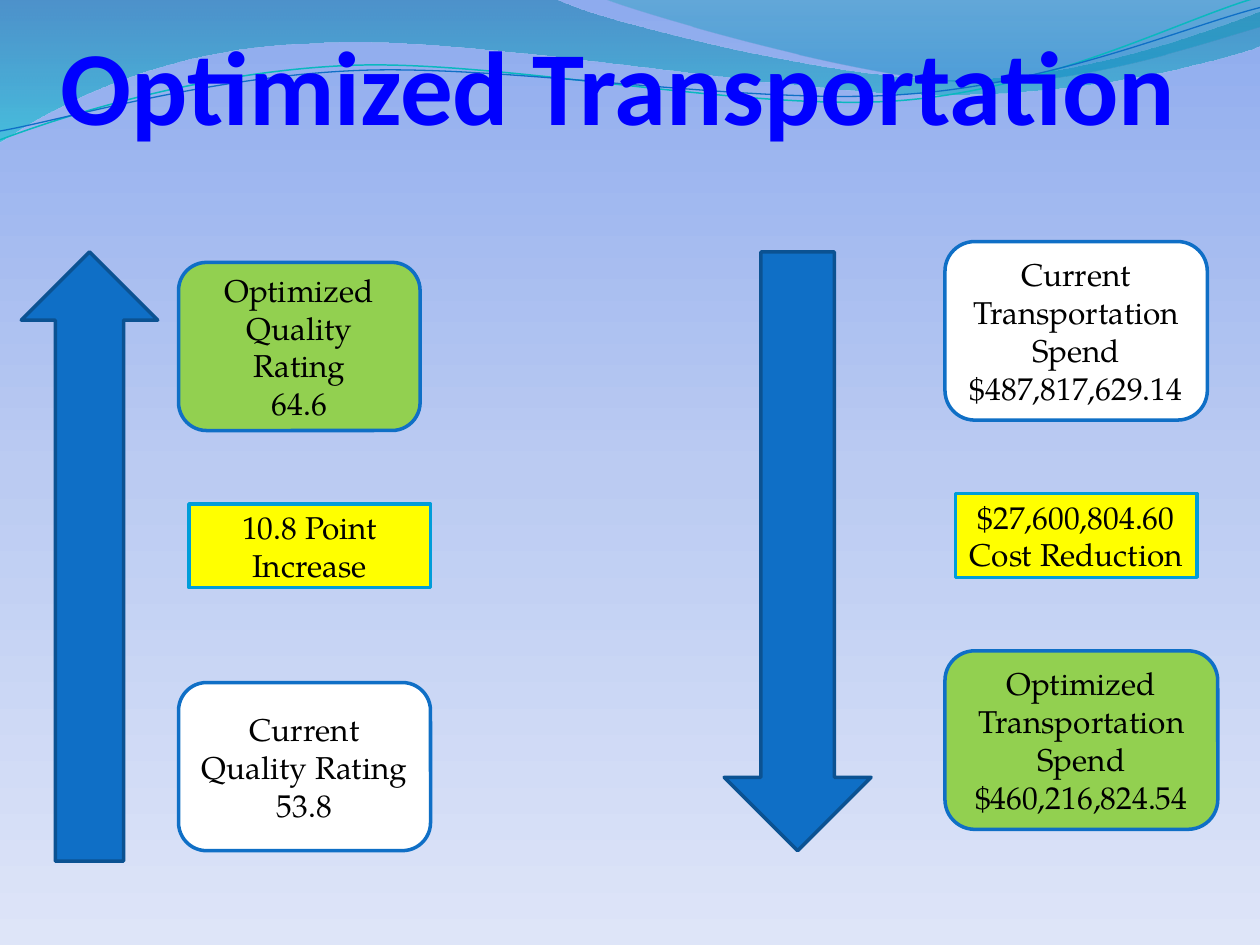
from lxml.etree import SubElement as Sub
from pptx import Presentation
from pptx.dml.color import RGBColor as Rgb
from pptx.enum.shapes import MSO_SHAPE as Kind
from pptx.enum.text import MSO_ANCHOR as Anchor, PP_ALIGN as Align
from pptx.oxml.ns import qn
from pptx.util import Cm, Pt

FONT = "TeX Gyre Pagella"
BLUE, GREEN, WHITE, YELLOW = "0F6FC6", "92D050", "FFFFFF", "FFFF00"

SWEEP = [
    [(0, 0)], [(4.4, -0.01)],
    [(4.76, 0.17), (6.64, 0.63), (7.58, 0.63)],
    [(8.53, 0.63), (9.58, 0.26), (10, 0.09)], [(10.01, 0.36)],
    [(9.83, 0.44), (8.7, 0.76), (7.46, 0.75)],
    [(6.22, 0.75), (3.82, 0.28), (2.57, 0.34)],
    [(1.29, 0.36), (0.46, 0.83), (-0.01, 1.13)], [(0, 0)],
]
CREST = [
    [(4.79, -0.01)],
    [(5.09, 0.11), (6.82, 0.62), (7.69, 0.65)],
    [(8.56, 0.69), (9.61, 0.32), (10, 0.21)], [(10, 0)], [(4.79, -0.01)],
]
TEAL = [
    [(0, 1.11)],
    [(0.48, 0.93), (1.58, 0.57), (2.77, 0.52)],
    [(3.95, 0.47), (5.93, 0.89), (7.13, 0.8)],
    [(8.33, 0.71), (9.38, 0.15), (9.98, -0.02)],
]
NAVY = [
    [(0, 1.04)],
    [(0.47, 0.96), (1.64, 0.61), (2.83, 0.56)],
    [(4.03, 0.51), (5.97, 0.84), (7.17, 0.75)],
    [(8.36, 0.67), (9.41, 0.21), (10, 0.06)],
]


def paint(color, code):
    """Set a colour from a hex string."""
    color.rgb = Rgb.from_string(code)


def blend(fill, root, stops):
    """Give a fill a top-to-bottom gradient of (place, colour, opacity) stops."""
    fill.gradient()
    grad = root.find(".//" + qn("a:gradFill"))
    for kid in list(grad):
        grad.remove(kid)
    group = Sub(grad, qn("a:gsLst"))
    for place, code, alpha in stops:
        stop = Sub(group, qn("a:gs"), pos=str(place * 1000))
        tone = Sub(stop, qn("a:srgbClr"), val=code)
        if alpha < 100:
            Sub(tone, qn("a:alpha"), val=str(alpha * 1000))
    Sub(grad, qn("a:lin"), ang="5400000", scaled="0")


def bend(shape, parts):
    """Join each three points of a Bezier part into one curve."""
    route = shape.element.find(".//" + qn("a:path"))
    legs = iter(list(route))
    for part in parts:
        group = [next(legs) for _ in part]
        if len(group) == 3:
            curve = Sub(route, qn("a:cubicBezTo"))
            group[0].addprevious(curve)
            for leg in group:
                curve.append(leg[0])
                route.remove(leg)


def wave(slide, parts, stops=None, line=None):
    """Draw a filled band or an open curved line."""
    dots = [(Cm(2.54 * x), Cm(2.54 * y)) for part in parts for x, y in part]
    pen = slide.shapes.build_freeform(*dots[0])
    pen.add_line_segments(dots[1:], close=bool(stops))
    shape = pen.convert_to_shape()
    bend(shape, parts)
    shape.shadow.inherit = False
    if stops:
        blend(shape.fill, shape.element, stops)
        shape.line.fill.background()
    else:
        code, width = line
        shape.fill.background()
        paint(shape.line.color, code)
        shape.line.width = Pt(width)


def write(para, text, font, size, code, bold=False):
    """Add one centred run to a paragraph."""
    para.alignment = Align.CENTER
    run = para.add_run()
    run.text = text
    run.font.name, run.font.size, run.font.bold = font, Pt(size), bold
    paint(run.font.color, code)


def head(slide, text):
    """Place and fill the title in front of the waves."""
    title = slide.shapes.title
    title.element.getparent().append(title.element)
    title.left, title.top, title.width, title.height = Cm(0), Cm(0), Cm(25.4), Cm(2.96)
    frame = title.text_frame
    frame.word_wrap = True
    frame.vertical_anchor = Anchor.BOTTOM
    frame.margin_left = frame.margin_right = frame.margin_bottom = Cm(0)
    frame.margin_top = Cm(0.13)
    write(frame.paragraphs[0], text, "Calibri", 60, "0000FF", True)


def block(slide, kind, place, fill, line, lines=()):
    """Add a filled shape with centred lines of text."""
    shape = slide.shapes.add_shape(kind, *map(Cm, place))
    shape.shadow.inherit = False
    shape.fill.solid()
    paint(shape.fill.fore_color, fill)
    paint(shape.line.color, line)
    shape.line.width = Pt(2)
    frame = shape.text_frame
    frame.word_wrap = True
    frame.vertical_anchor = Anchor.MIDDLE
    for i, text in enumerate(lines):
        para = frame.add_paragraph() if i else frame.paragraphs[0]
        write(para, text, FONT, 18, "000000")


def main():
    """Build the slide and save it."""
    deck = Presentation()
    deck.slide_width, deck.slide_height = Cm(25.4), Cm(19.05)
    slide = deck.slides.add_slide(deck.slide_layouts[5])
    blend(slide.background.fill, slide.element,
          [(0, "8EABEE", 100), (50, "BBCBF2", 100), (100, "DEE5F8", 100)])
    wave(slide, SWEEP, stops=[(0, "0074A1", 45), (100, "00C6CF", 55)])
    wave(slide, CREST, stops=[(0, "00A1A9", 30), (80, "008BBF", 45)])
    wave(slide, TEAL, line=("0AB8BF", 0.85))
    wave(slide, NAVY, line=(BLUE, 0.75))
    head(slide, "Optimized Transportation ")

    for kind, place in (
        (Kind.UP_ARROW, (0.43, 5.08, 2.75, 12.28)),
        (Kind.DOWN_ARROW, (14.6, 5.08, 2.96, 12.07)),
    ):
        block(slide, kind, place, BLUE, "0B5292")

    for place, fill, lines in (
        ((3.6, 13.76, 5.08, 3.39), WHITE, ("Current Quality Rating", "53.8")),
        ((3.6, 5.29, 4.87, 3.39), GREEN, ("Optimized Quality Rating", "64.6")),
        ((19.05, 13.12, 5.5, 3.6), GREEN,
         ("Optimized Transportation Spend", "$460,216,824.54")),
        ((19.05, 4.87, 5.29, 3.6), WHITE,
         ("Current Transportation Spend", "$487,817,629.14")),
    ):
        block(slide, Kind.ROUNDED_RECTANGLE, place, fill, BLUE, lines)

    for left, top, lines in (
        (3.81, 10.16, ("10.8 Point Increase",)),
        (19.26, 9.95, ("$27,600,804.60", "Cost Reduction")),
    ):
        block(slide, Kind.RECTANGLE, (left, top, 4.87, 1.69), YELLOW, "009DD9", lines)

    deck.save("out.pptx")


if __name__ == "__main__":
    main()
